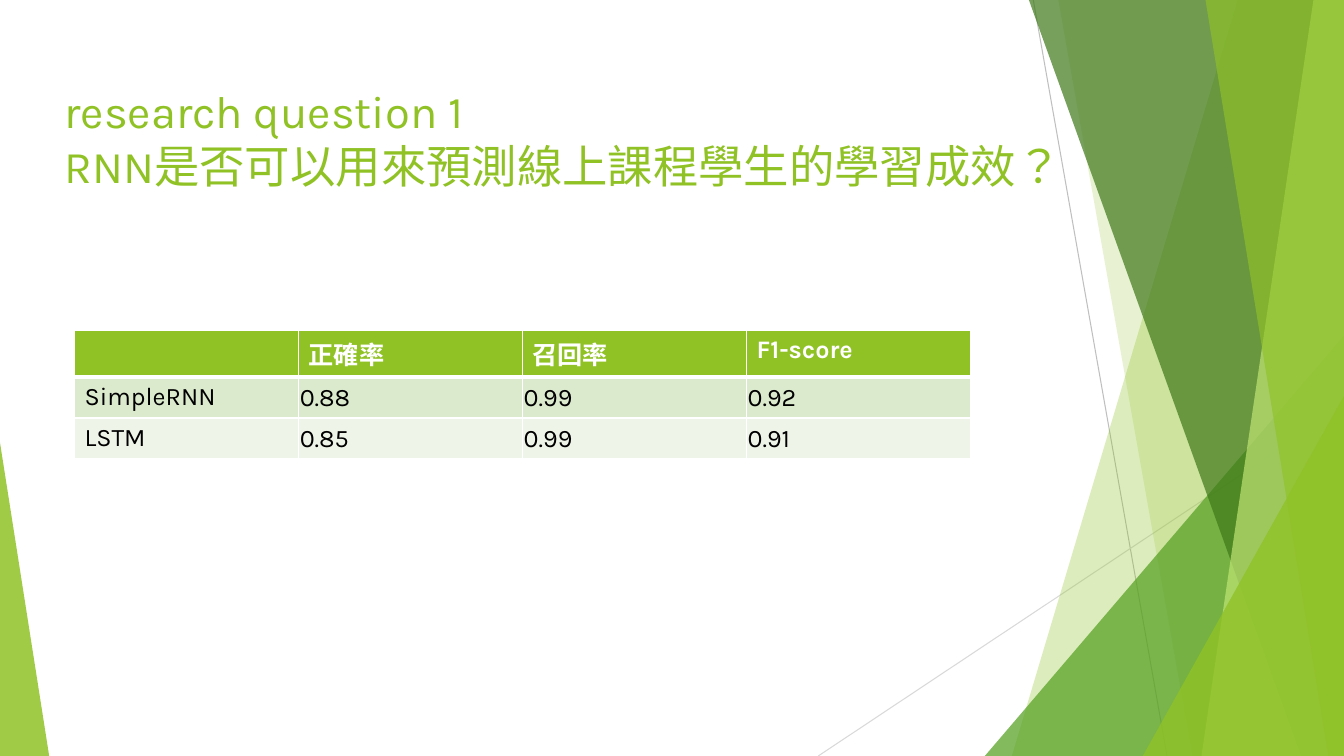
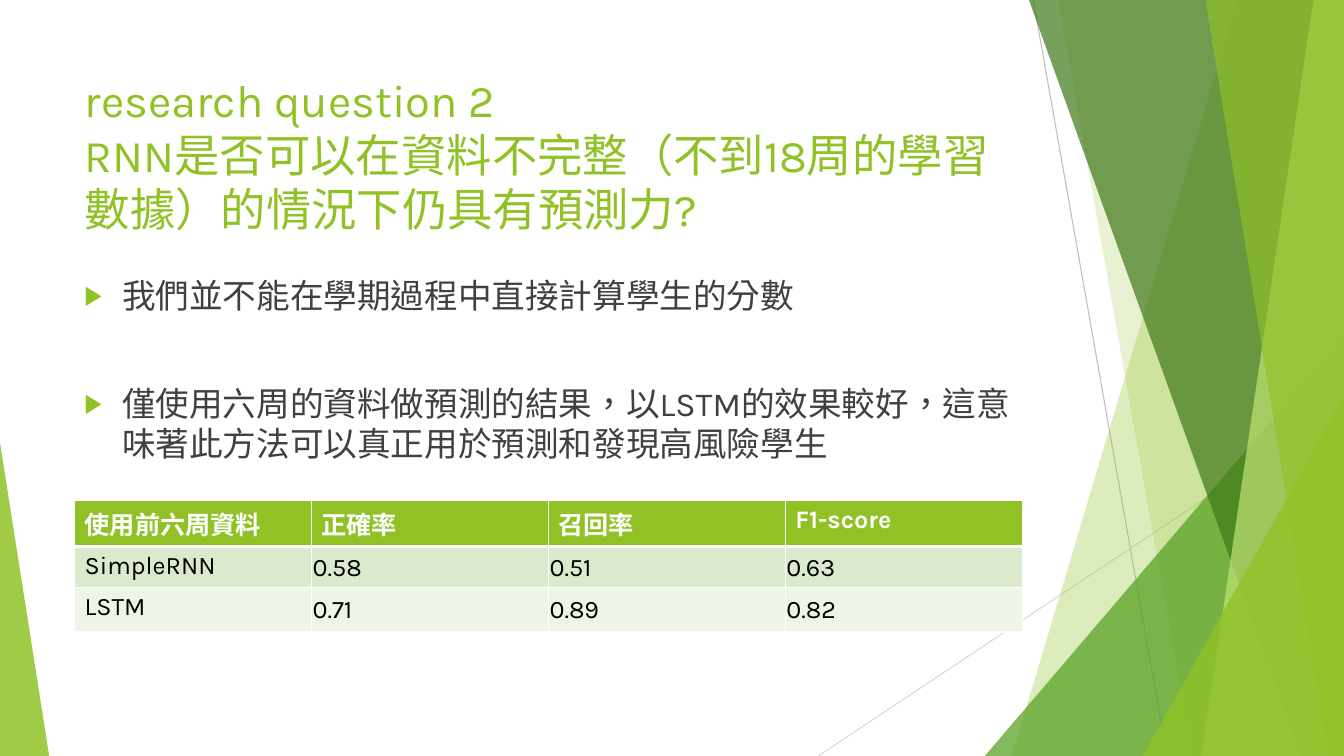
import copy
import dataclasses
import typing

import lxml.etree
import pptx
import pptx.dml.color
import pptx.enum.lang
import pptx.enum.shapes
import pptx.enum.text
import pptx.oxml.ns
import pptx.util

Cm = pptx.util.Cm
Pt = pptx.util.Pt
qn = pptx.oxml.ns.qn
ANCHOR = pptx.enum.text.MSO_ANCHOR

WIDE, HIGH = 33.87, 19.05
EDGE = 1.88
TONES = {
    "lime": "90C226",
    "green": "54A021",
    "dark": "3F7819",
    "pale": "C0E474",
    "ink": "404040",
    "black": "000000",
    "white": "FFFFFF",
    "gray": "BFBFBF",
    "mist": "D9D9D9",
    "band": "DBE9CD",
    "light": "EEF4E8",
}
FACE = {
    "name": "Karla",
    "language_id": pptx.enum.lang.MSO_LANGUAGE_ID.TRADITIONAL_CHINESE,
}
TITLE = {**FACE, "size": Pt(32.4), "bold": False}
BODY = {**FACE, "size": Pt(24)}
HEAD = {**FACE, "size": Pt(18), "bold": True}
CELL = {**FACE, "size": Pt(18), "bold": False}
FRAME = {
    "word_wrap": True,
    "auto_size": pptx.enum.text.MSO_AUTO_SIZE.NONE,
    "vertical_anchor": ANCHOR.TOP,
}
VALUE = {
    "vertical_anchor": ANCHOR.MIDDLE,
    "margin_left": Cm(0.03),
    "margin_top": Cm(0.03),
    "margin_right": Cm(0.03),
    "margin_bottom": 0,
}


class Box(typing.NamedTuple):
    left: float
    top: float
    width: float
    height: float


@dataclasses.dataclass
class Ray:
    start: tuple[float, float]
    end: tuple[float, float]
    tone: str


@dataclasses.dataclass
class Pane:
    top: float
    foot: float
    tone: str
    alpha: int


@dataclasses.dataclass
class Wedge:
    box: Box
    tip: float
    tone: str
    alpha: int


@dataclasses.dataclass
class Grid:
    box: Box
    rows: list[list[str]]
    heights: list[float]


@dataclasses.dataclass
class Page:
    title: str
    place: Box
    grid: Grid
    points: list[str]


RAYS = [
    Ray((26.04, 0), (29.41, HIGH), "gray"),
    Ray((WIDE, 10.24), (20.62, HIGH), "mist"),
]
FACETS = [
    Pane(31.19, 25.5, "lime", 30),
    Pane(26.67, 30.05, "lime", 20),
    Wedge(Box(24.82, 8.46, 9.05, 10.59), 1, "green", 72),
    Pane(25.93, 32.79, "dark", 70),
    Pane(33.1, 30.28, "pale", 70),
    Pane(30.38, 33.48, "lime", 65),
    Wedge(Box(28.8, 9.98, 5.07, 9.07), 1, "lime", 80),
    Wedge(Box(0, 11.15, 1.24, 7.9), 0, "lime", 85),
]
PAGES = [
    Page(
        "research question 1\vRNN是否可以用來預測線上課程學生的學習成效？",
        Box(1.37, 1.98, 25.43, 3.66),
        Grid(
            Box(EDGE, 8.33, 22.58, 3.09),
            [
                ["", "正確率", "召回率", "F1-score"],
                ["SimpleRNN", "0.88", "0.99", "0.92"],
                ["LSTM", "0.85", "0.99", "0.91"],
            ],
            [1.03, 1.03, 1.03],
        ),
        [],
    ),
    Page(
        "research question 2\vRNN是否可以在資料不完整（不到18周的學習數據）的情況下仍具有預測力?",
        Box(EDGE, 1.7, 23.88, 3.66),
        Grid(
            Box(EDGE, 12.6, 23.88, 3.18),
            [
                ["使用前六周資料", "正確率", "召回率", "F1-score"],
                ["SimpleRNN", "0.58", "0.51", "0.63"],
                ["LSTM", "0.71", "0.89", "0.82"],
            ],
            [1.03, 1.03, 1.12],
        ),
        [
            "我們並不能在學期過程中直接計算學生的分數",
            "僅使用六周的資料做預測的結果，以LSTM的效果較好，這意味著此方法可以真正用於預測和發現高風險學生",
        ],
    ),
]


def rgb(tone: str) -> pptx.dml.color.RGBColor:
    return pptx.dml.color.RGBColor.from_string(TONES[tone])


def put(item: typing.Any, values: dict[str, typing.Any]) -> None:
    for name, value in values.items():
        setattr(item, name, value)


def span(box: Box) -> list[int]:
    return [Cm(side) for side in box]


def node(parent: typing.Any, tag: str, **marks: str) -> typing.Any:
    return lxml.etree.SubElement(parent, qn(tag), marks)


def style(para: typing.Any, face: dict[str, typing.Any], tone: str) -> None:
    for run in para.runs:
        put(run.font, face)
        run.font.color.rgb = rgb(tone)


def draw_ray(shapes: typing.Any, ray: Ray) -> typing.Any:
    kind = pptx.enum.shapes.MSO_CONNECTOR.STRAIGHT
    line = shapes.add_connector(kind, *map(Cm, ray.start + ray.end))
    line.line.width = Pt(0.75)
    line.line.color.rgb = rgb(ray.tone)
    node(line.element.spPr, "a:effectLst")
    return line


def draw_facet(shapes: typing.Any, facet: Pane | Wedge) -> typing.Any:
    if isinstance(facet, Pane):
        path = shapes.build_freeform(Cm(facet.top), 0)
        ends = [(WIDE, 0), (WIDE, HIGH), (facet.foot, HIGH)]
        path.add_line_segments([(Cm(x), Cm(y)) for x, y in ends], close=True)
        shape = path.convert_to_shape()
    else:
        kind = pptx.enum.shapes.MSO_SHAPE.ISOSCELES_TRIANGLE
        shape = shapes.add_shape(kind, *span(facet.box))
        shape.adjustments[0] = facet.tip
    shape.shadow.inherit = False
    shape.fill.solid()
    shape.fill.fore_color.rgb = rgb(facet.tone)
    color = next(shape.element.spPr.iter(qn("a:srgbClr")))
    node(color, "a:alpha", val=str(facet.alpha * 1000))
    shape.line.fill.background()
    return shape


def dress(layout: typing.Any, slide: typing.Any) -> None:
    decor = [draw_ray(slide.shapes, ray) for ray in RAYS]
    decor += [draw_facet(slide.shapes, facet) for facet in FACETS]
    for number, item in enumerate(decor, 20):
        next(item.element.iter(qn("p:cNvPr"))).set("id", str(number))
        layout.shapes.element.append(item.element)


def set_title(title: typing.Any, text: str, place: Box) -> None:
    put(title, dict(zip(("left", "top", "width", "height"), span(place))))
    frame = title.text_frame
    put(frame, FRAME)
    frame.text = text
    para = frame.paragraphs[0]
    para.alignment = pptx.enum.text.PP_ALIGN.LEFT
    style(para, TITLE, "lime")
    look = next(title.element.iter(qn("a:rPr")))
    for gap in title.element.iter(qn("a:br")):
        gap.append(copy.deepcopy(look))


def add_points(shapes: typing.Any, points: list[str]) -> None:
    box = shapes.add_textbox(*span(Box(EDGE, 6.81, 23.88, 5.5)))
    frame = box.text_frame
    put(frame, FRAME)
    frame.text = "\n".join(points)
    for order, para in enumerate(frame.paragraphs):
        para.space_before = Pt(48 * order)
        style(para, BODY, "ink")
    for props in box.element.iter(qn("a:pPr")):
        props.set("marL", str(Cm(0.95)))
        props.set("indent", str(-Cm(0.95)))
        node(node(props, "a:buClr"), "a:srgbClr", val=TONES["lime"])
        node(props, "a:buSzPct", val="80000")
        node(props, "a:buFont", typeface="Arial")
        node(props, "a:buChar", char="▶")


def edge(cell: typing.Any, top: float, foot: float) -> None:
    props = next(cell.fill._xPr.iter(qn("a:tcPr")))
    sides = {"a:lnL": 1, "a:lnR": 1, "a:lnT": top, "a:lnB": foot}
    for slot, (tag, width) in enumerate(sides.items()):
        line = node(props, tag, w=str(Pt(width)))
        node(node(line, "a:solidFill"), "a:srgbClr", val=TONES["white"])
        props.insert(slot, line)


def add_grid(shapes: typing.Any, grid: Grid) -> None:
    count = len(grid.rows[0])
    table = shapes.add_table(len(grid.rows), count, *span(grid.box)).table
    fills = ["lime", "band", "light"]
    for col in table.columns:
        col.width = Cm(grid.box.width / count)
    for r, (texts, height) in enumerate(zip(grid.rows, grid.heights)):
        table.rows[r].height = Cm(height)
        for c, text in enumerate(texts):
            cell = table.cell(r, c)
            cell.text = text
            cell.fill.solid()
            cell.fill.fore_color.rgb = rgb(fills[r])
            edge(cell, 3 if r == 1 else 1, 3 if r == 0 else 1)
            if r and c:
                put(cell, VALUE)
            face, tone = (CELL, "black") if r else (HEAD, "white")
            style(cell.text_frame.paragraphs[0], face, tone)


def main() -> None:
    deck = pptx.Presentation()
    put(deck, {"slide_width": Cm(WIDE), "slide_height": Cm(HIGH)})
    layout = deck.slide_layouts[5]
    for order, page in enumerate(PAGES):
        slide = deck.slides.add_slide(layout)
        if order == 0:
            dress(layout, slide)
        set_title(slide.shapes.title, page.title, page.place)
        if page.points:
            add_points(slide.shapes, page.points)
        add_grid(slide.shapes, page.grid)
    deck.save("out.pptx")


if __name__ == "__main__":
    main()
